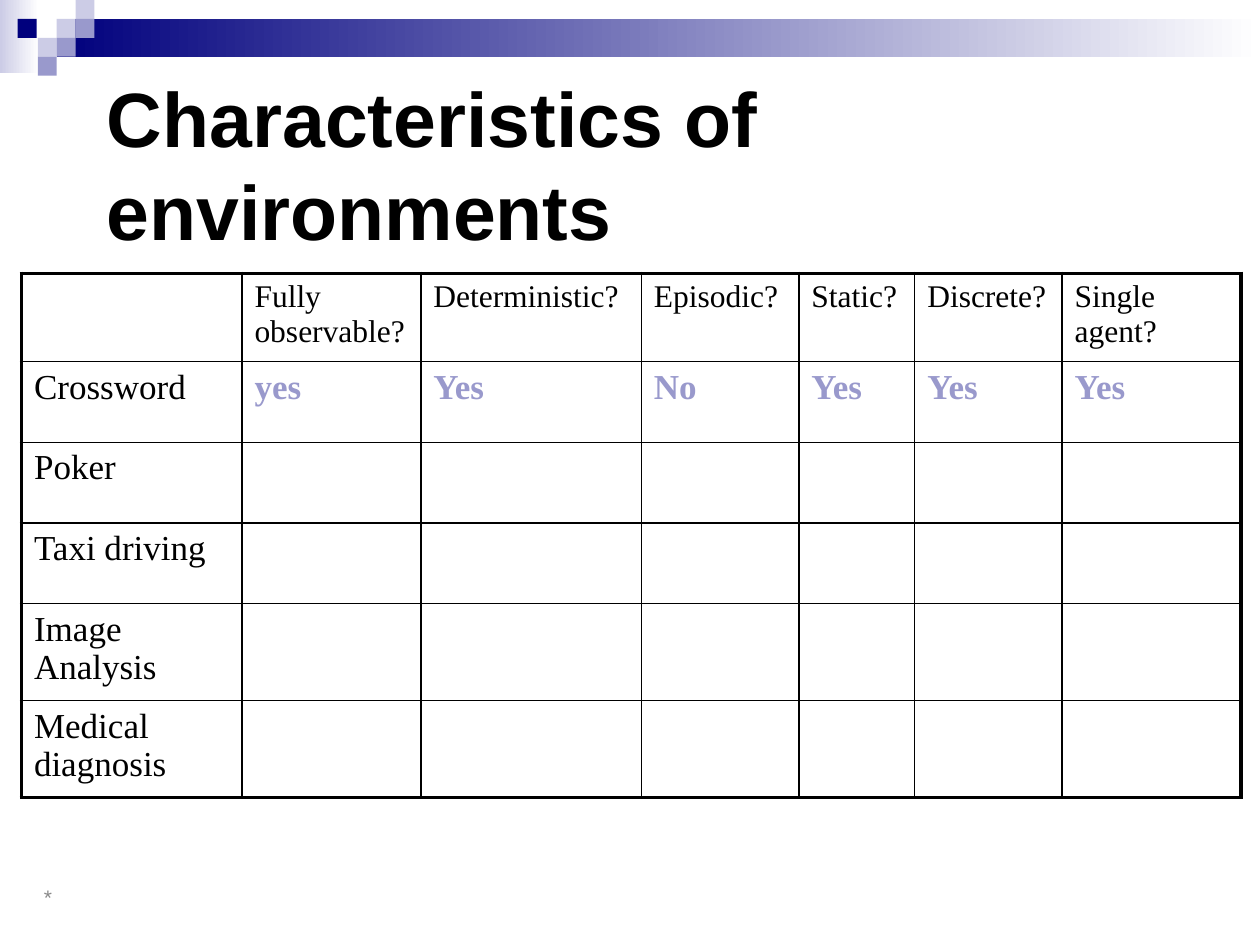
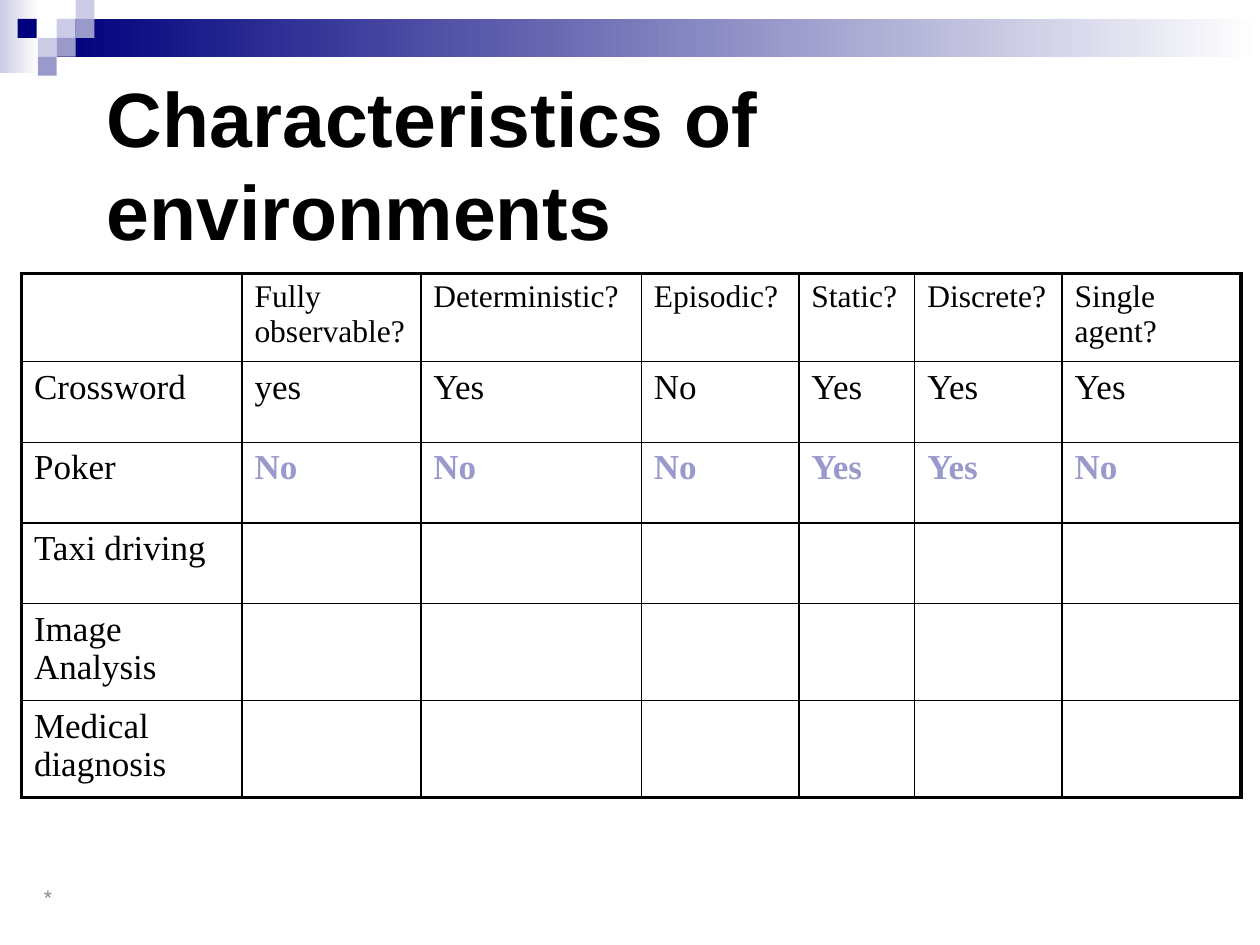
import pptx
import pptx.dml.color
import pptx.enum.shapes
import pptx.enum.text
import pptx.oxml
import pptx.oxml.ns
import pptx.util
import lxml.etree

Inches = pptx.util.Inches
COLORS = {
    "ink": "000000",
    "navy": "00007D",
    "lavender": "9999CC",
    "mist": "CCCCE6",
    "white": "FFFFFF",
    "footer": "898989",
}
UNIT = 0.15
BANDS = [(0, 0, 0.31, 0.58, "mist"), (0.45, UNIT, 9.55, 0.3, "navy")]
SQUARES = [
    (0.45, 0.15, "mist"),
    (0.6, 0, "mist"),
    (0.6, 0.15, "lavender"),
    (0.3, 0.3, "mist"),
    (0.14, 0.15, "navy"),
    (0.45, 0.3, "lavender"),
    (0.3, 0.45, "lavender"),
]
QUESTIONS = ["", "Fully observable?", "Deterministic?", "Episodic?", "Static?", "Discrete?", "Single agent?"]
TASKS = ["Crossword", "Poker", "Taxi driving", "Image Analysis", "Medical diagnosis"]
ANSWERS = [
    ["yes", "Yes", "No", "Yes", "Yes", "Yes"],
    ["No", "No", "No", "Yes", "Yes", "No"],
]
COLUMN_WIDTHS = [1.75, 1.42, 1.75, 1.25, 0.92, 1.17, 1.42]
ROW_HEIGHTS = [0.7, 0.64, 0.64, 0.64, 0.77, 0.77]


def rgb(name):
    return pptx.dml.color.RGBColor.from_string(COLORS[name])


def write(frame, text, size=20, font="Times New Roman", color="ink", bold=False):
    run = frame.paragraphs[0].add_run()
    run.text = text
    run.font.size = pptx.util.Pt(size)
    run.font.name = font
    run.font.bold = bold
    run.font.color.rgb = rgb(color)


deck = pptx.Presentation()
deck.slide_width = Inches(10)
deck.slide_height = Inches(7.5)

for answered in range(1, len(ANSWERS) + 1):
    slide = deck.slides.add_slide(deck.slide_layouts[6])

    decorations = BANDS + [(x, y, UNIT, UNIT, color) for x, y, color in SQUARES]
    for index, (x, y, width, height, color) in enumerate(decorations):
        block = slide.shapes.add_shape(
            pptx.enum.shapes.MSO_SHAPE.RECTANGLE, Inches(x), Inches(y), Inches(width), Inches(height)
        )
        block.shadow.inherit = False
        block.line.fill.background()
        if index < len(BANDS):
            block.fill.gradient()
            block.fill.gradient_angle = 0
            for stop, position, shade in zip(block.fill.gradient_stops, (0, 1), (color, "white")):
                stop.position = position
                stop.color.rgb = rgb(shade)
        else:
            block.fill.solid()
            block.fill.fore_color.rgb = rgb(color)

    for text, x, y, width, height, look in [
        ("*", 0.25, 6.92, 3.17, 0.4, {"size": 12, "color": "footer"}),
        ("Characteristics of environments", 0.75, 0.67, 8.5, 1.25, {"size": 44, "bold": True}),
    ]:
        frame = slide.shapes.add_textbox(Inches(x), Inches(y), Inches(width), Inches(height)).text_frame
        frame.word_wrap = True
        frame.vertical_anchor = pptx.enum.text.MSO_ANCHOR.MIDDLE
        write(frame, text, font="Arial", **look)

    rows = [QUESTIONS]
    for number, task in enumerate(TASKS):
        rows.append([task] + (ANSWERS[number] if number < answered else [""] * 6))

    environments = slide.shapes.add_table(
        len(rows), len(QUESTIONS), Inches(0.17), Inches(2.17),
        Inches(sum(COLUMN_WIDTHS)), Inches(sum(ROW_HEIGHTS)),
    ).table
    environments.first_row = False
    environments.horz_banding = False
    for column, width in zip(environments.columns, COLUMN_WIDTHS):
        column.width = Inches(width)
    for row, height in zip(environments.rows, ROW_HEIGHTS):
        row.height = Inches(height)

    for r, texts in enumerate(rows):
        for c, text in enumerate(texts):
            cell = environments.cell(r, c)
            outer_edges = {
                "lnL": c == 0,
                "lnR": c == len(QUESTIONS) - 1,
                "lnT": r == 0,
                "lnB": r == len(rows) - 1,
            }
            properties = cell._tc.get_or_add_tcPr()
            for side, outer in outer_edges.items():
                border = lxml.etree.SubElement(properties, pptx.oxml.ns.qn(f"a:{side}"))
                border.set("w", str(pptx.util.Pt(2.25 if outer else 1)))
                paint = lxml.etree.SubElement(border, pptx.oxml.ns.qn("a:solidFill"))
                lxml.etree.SubElement(paint, pptx.oxml.ns.qn("a:srgbClr")).set("val", COLORS["ink"])
            cell.fill.background()
            if text:
                newest = r == answered and c > 0
                write(
                    cell.text_frame, text, size=18 if r == 0 else 20,
                    color="lavender" if newest else "ink", bold=newest,
                )

deck.save("out.pptx")
